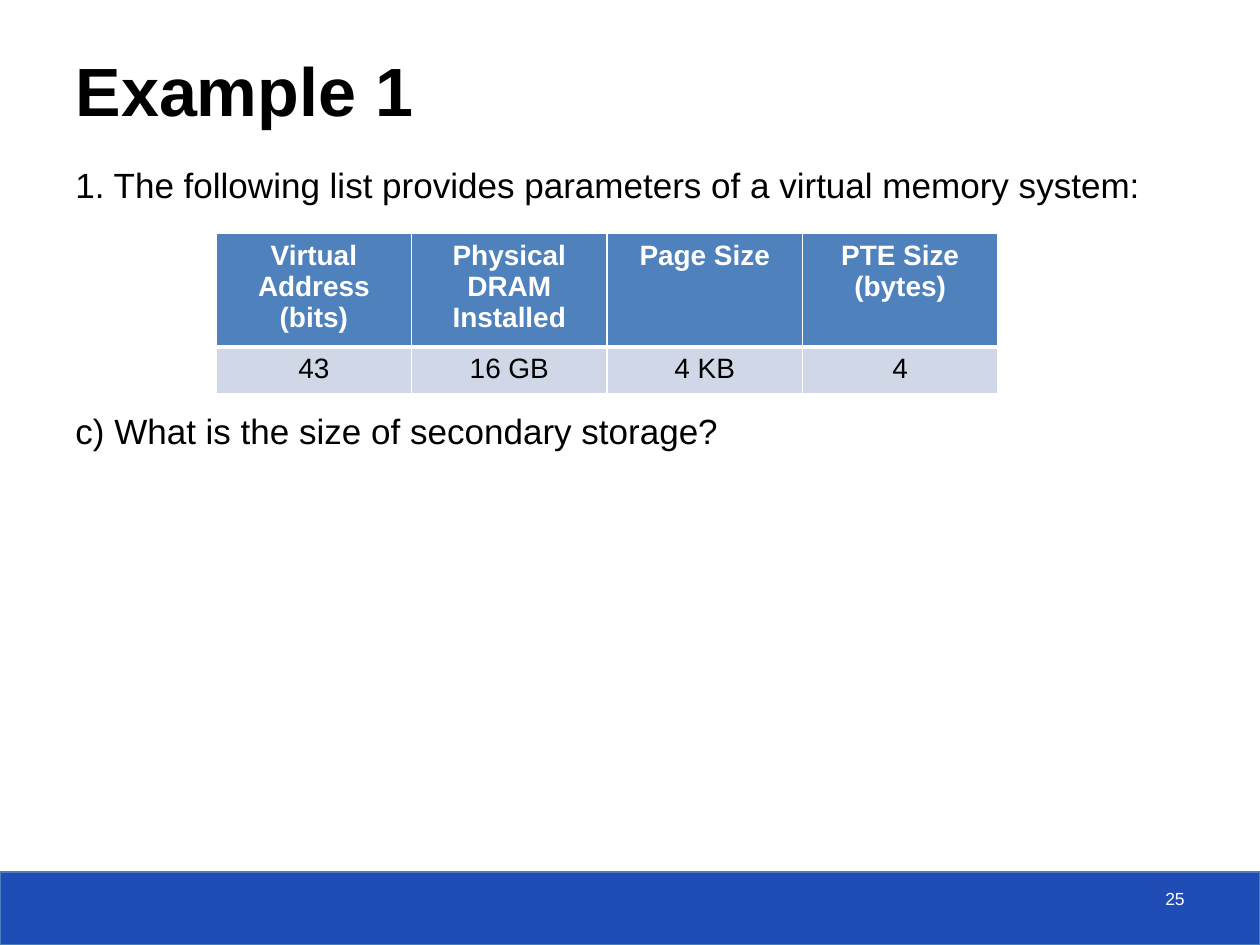
from lxml.etree import SubElement
from pptx import Presentation
from pptx.dml.color import RGBColor
from pptx.enum.shapes import MSO_SHAPE
from pptx.enum.text import MSO_ANCHOR, PP_ALIGN
from pptx.oxml.ns import qn
from pptx.util import Pt

WHITE = RGBColor(0xFF, 0xFF, 0xFF)
BLACK = RGBColor(0, 0, 0)
BAND_BLUE = RGBColor(0x20, 0x4D, 0xB5)
BAND_EDGE = RGBColor(0x4B, 0x7E, 0xBC)
HEADER_BLUE = RGBColor(0x4F, 0x81, 0xBD)
ROW_BLUE = RGBColor(0xD0, 0xD8, 0xE8)
FONT = "Arial"

PARAMETERS = [
    ("Virtual Address (bits)", "Physical DRAM Installed", "Page Size", "PTE Size (bytes)"),
    ("43", "16 GB", "4 KB", "4"),
]


def format_para(para, size, color, bold=False, align=PP_ALIGN.LEFT):
    para.alignment = align
    for span in para.runs:
        span.font.name = FONT
        span.font.size = Pt(size)
        span.font.bold = bold
        span.font.color.rgb = color


def place(shape, box):
    shape.left, shape.top, shape.width, shape.height = [Pt(length) for length in box]


def add_footer(page, box):
    left, top, width, height = box
    band = page.shapes.add_shape(MSO_SHAPE.RECTANGLE, *[Pt(length) for length in box])
    band.shadow.inherit = False
    band.fill.solid()
    band.fill.fore_color.rgb = BAND_BLUE
    band.line.color.rgb = BAND_EDGE
    band.line.width = Pt(0.75)

    # Page number
    number_width = 168
    number = page.shapes.add_textbox(
        Pt(left + width - 36 - number_width), Pt(top + 5.76), Pt(number_width), Pt(24))
    number.text_frame.word_wrap = True
    number.text_frame.text = "25"
    format_para(number.text_frame.paragraphs[0], 10, WHITE, align=PP_ALIGN.RIGHT)


def set_title(page, box):
    title = page.shapes.title
    place(title, box)
    title.fill.solid()
    title.fill.fore_color.rgb = WHITE
    color = title.fill._xPr.find(qn("a:solidFill"))[0]
    SubElement(color, qn("a:alpha"), val="70000")
    frame = title.text_frame
    frame.text = "Example 1"
    frame.vertical_anchor = MSO_ANCHOR.BOTTOM
    format_para(frame.paragraphs[0], 39, BLACK, bold=True)


def add_question(page, box):
    body = page.shapes.add_textbox(*[Pt(length) for length in box])
    frame = body.text_frame
    frame.word_wrap = True
    frame.text = ("1. The following list provides parameters of a virtual memory system:\n"
                  "c) What is the size of secondary storage?")
    # The second paragraph stands below the table
    for para, gap in zip(frame.paragraphs, (4, 116.5)):
        format_para(para, 20, BLACK)
        para.space_before = Pt(gap)


def set_borders(cell, widths):
    properties = cell._tc.get_or_add_tcPr()
    for index, (side, width) in enumerate(zip("LRTB", widths)):
        line = SubElement(properties, qn(f"a:ln{side}"), w=str(Pt(width)))
        fill = SubElement(line, qn("a:solidFill"))
        SubElement(fill, qn("a:srgbClr"), val=str(WHITE))
        properties.insert(index, line)


def add_parameter_table(page, box):
    frame = page.shapes.add_table(2, 4, *[Pt(length) for length in box])
    table = frame.table
    for column in table.columns:
        column.width = Pt(box[2] / 4)
    for row, height in zip(table.rows, (59.5, 25)):
        row.height = Pt(height)
    styles = [(HEADER_BLUE, WHITE, True, (1, 1, 1, 3)),
              (ROW_BLUE, BLACK, False, (1, 1, 3, 1))]
    for row, texts, style in zip(table.rows, PARAMETERS, styles):
        fill, color, bold, borders = style
        for cell, text in zip(row.cells, texts):
            cell.text = text
            cell.fill.solid()
            cell.fill.fore_color.rgb = fill
            format_para(cell.text_frame.paragraphs[0], 16, color, bold, PP_ALIGN.CENTER)
            set_borders(cell, borders)


def main():
    deck = Presentation()
    deck.slide_width, deck.slide_height = Pt(720), Pt(540)
    page = deck.slides.add_slide(deck.slide_layouts[5])
    add_footer(page, (0, 498.24, 720, 41.76))
    set_title(page, (36, 18, 668.88, 59.76))
    add_question(page, (36, 90, 648, 401.76))
    add_parameter_table(page, (123.5, 133.5, 446.75, 84.5))
    deck.save("out.pptx")


if __name__ == "__main__":
    main()
